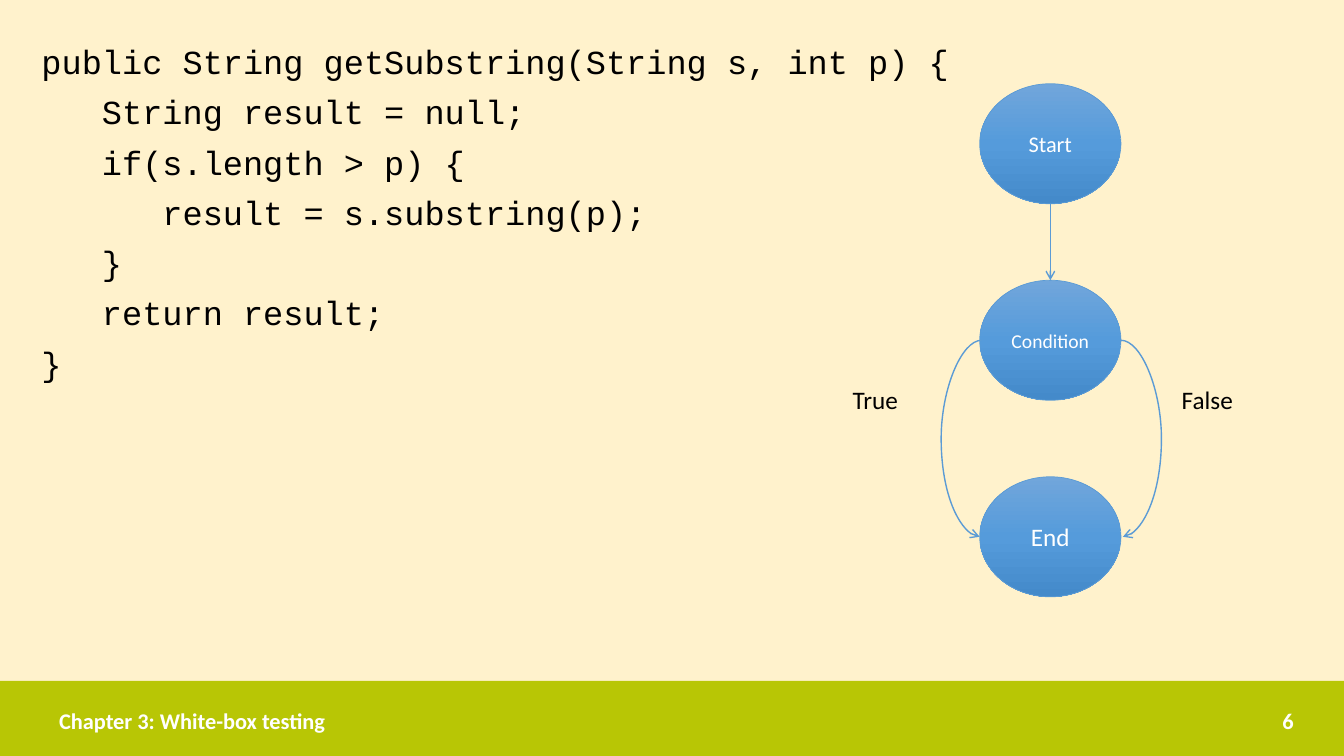
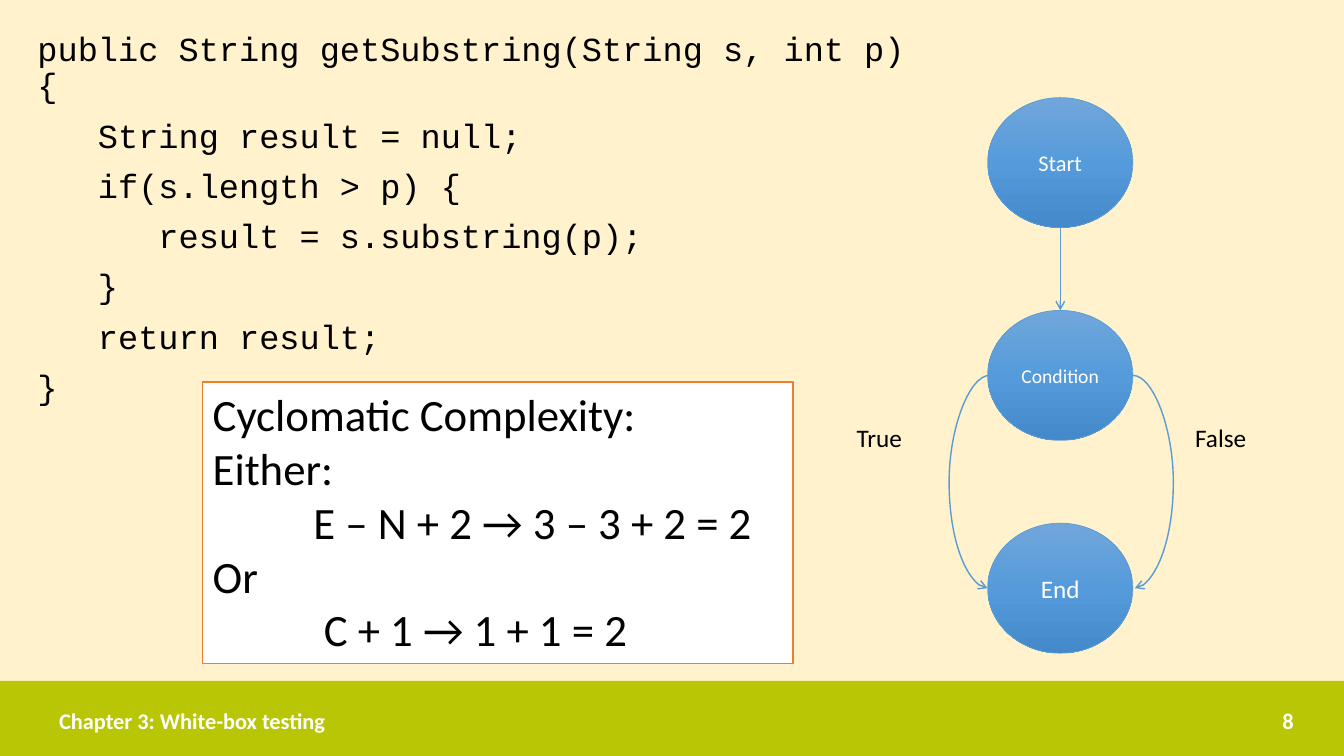
from copy import deepcopy

from lxml.etree import SubElement
from pptx import Presentation
from pptx.dml.color import RGBColor
from pptx.enum.shapes import MSO_CONNECTOR, MSO_SHAPE
from pptx.enum.text import MSO_ANCHOR, MSO_AUTO_SIZE, PP_ALIGN
from pptx.oxml.ns import qn
from pptx.util import Cm, Pt

COLORS = {
    "background": "FFF2CC",
    "band": "B8C605",
    "text": "000000",
    "white": "FFFFFF",
    "line": "5B9BD5",
    "frame": "ED7D31",
}
NODE_GRADIENT = [(0, "71A6DB"), (0.5, "559BDB"), (1, "448ACA")]
NODES = [("Start", 16), ("Condition", 14), ("End", 18)]
BODY_FONT, CODE_FONT = "Calibri", "Courier New"
FOOTER = "Chapter 3: White-box testing"
CODE = [
    "public String getSubstring(String s, int p) {",
    "   String result = null;",
    "   if(s.length > p) {",
    "      result = s.substring(p);",
    "   }",
    "   return result;",
    "}",
]
COMPLEXITY = [
    ("Cyclomatic Complexity:", 0),
    ("Either:", 0),
    ("E – N + 2 → 3 – 3 + 2 = 2", 2.54),
    ("Or", 0),
    ("C + 1 → 1 + 1 = 2", 2.8),
]


def color(name):
    return RGBColor.from_string(COLORS[name])


def write(paragraph, text, size, color_name="text", font=BODY_FONT, bold=False):
    paragraph.text = text
    for run in paragraph.runs:
        run.font.name = font
        run.font.size = Pt(size)
        run.font.bold = bold
        run.font.color.rgb = color(color_name)


def write_lines(text_frame, lines, size, font=BODY_FONT):
    """Write one paragraph per line and return the paragraphs."""
    paragraphs = [text_frame.paragraphs[0]]
    paragraphs += [text_frame.add_paragraph() for _ in lines[1:]]
    for paragraph, line in zip(paragraphs, lines):
        write(paragraph, line, size, font=font)
    return paragraphs


def add_panel(slide, box, fill_name, line_name=None):
    panel = slide.shapes.add_shape(MSO_SHAPE.RECTANGLE, *map(Cm, box))
    panel.shadow.inherit = False
    panel.fill.solid()
    panel.fill.fore_color.rgb = color(fill_name)
    if line_name:
        panel.line.color.rgb = color(line_name)
        panel.line.width = Pt(1)
    else:
        panel.line.fill.background()
    return panel


def add_footer(slide, number):
    add_panel(slide, (0, 17.16, 33.87, 1.89), "band")
    for left, width, text, alignment in (
        (1.24, 15.72, FOOTER, PP_ALIGN.LEFT),
        (23.93, 8.92, str(number), PP_ALIGN.RIGHT),
    ):
        text_box = slide.shapes.add_textbox(Cm(left), Cm(17.65), Cm(width), Cm(1.02))
        text_frame = text_box.text_frame
        text_frame.word_wrap = True
        text_frame.vertical_anchor = MSO_ANCHOR.MIDDLE
        write(text_frame.paragraphs[0], text, 16, "white", bold=True)
        text_frame.paragraphs[0].alignment = alignment


def add_code(slide, box):
    body = slide.placeholders[1]
    body.left, body.top, body.width, body.height = map(Cm, box)
    body.text_frame.auto_size = MSO_AUTO_SIZE.NONE
    paragraphs = write_lines(body.text_frame, CODE, 24, CODE_FONT)
    for index, paragraph in enumerate(paragraphs):
        properties = paragraph._p.get_or_add_pPr()
        properties.set("marL", "0")
        properties.set("indent", "0")
        SubElement(properties, qn("a:buNone"))
        paragraph.line_spacing = 0.9
        paragraph.space_before = Pt(10 if index else 0)


def add_node(shapes, box, label, size):
    node = shapes.add_shape(MSO_SHAPE.OVAL, *box)
    node.shadow.inherit = False
    node.fill.gradient()
    node.fill.gradient_angle = 270
    stop_list = node.element.spPr.find(".//" + qn("a:gsLst"))
    stop_list.append(deepcopy(stop_list[0]))
    for stop, (position, value) in zip(node.fill.gradient_stops, NODE_GRADIENT):
        stop.position = position
        stop.color.rgb = RGBColor.from_string(value)
    node.line.color.rgb = color("line")
    node.line.width = Pt(0.5)
    text_frame = node.text_frame
    text_frame.margin_left = text_frame.margin_right = 0
    text_frame.vertical_anchor = MSO_ANCHOR.MIDDLE
    write(text_frame.paragraphs[0], label, size, "white")
    text_frame.paragraphs[0].alignment = PP_ALIGN.CENTER


def add_arrow(shapes, start, end, bulge=0):
    """Draw a straight arrow, or one curving sideways by bulge."""
    kind = MSO_CONNECTOR.CURVE if bulge else MSO_CONNECTOR.STRAIGHT
    arrow = shapes.add_connector(kind, *start, *end)
    arrow.line.color.rgb = color("line")
    arrow.line.width = Pt(1)
    properties = arrow.element.spPr
    SubElement(properties.find(qn("a:ln")), qn("a:tailEnd"), type="arrow")
    SubElement(properties, qn("a:effectLst"))
    if bulge:
        adjustment = round(100000 * bulge / abs(end[0] - start[0]))
        guides = properties.find(qn("a:prstGeom")).get_or_add_avLst()
        SubElement(guides, qn("a:gd"), name="adj1", fmla=f"val {adjustment}")


def add_flow_graph(slide, box):
    """Stack the nodes in the box, with the branches and labels beside it."""
    left, top, width, height = map(Cm, box)
    shapes = slide.shapes.add_group_shape().shapes
    node_height = round(height * 0.234)
    pitch = (height - node_height) // 2
    for index, (label, size) in enumerate(NODES):
        node_box = (left, top + index * pitch, width, node_height)
        add_node(shapes, node_box, label, size)

    center, right = left + width // 2, left + width
    add_arrow(shapes, (center, top + node_height), (center, top + pitch))
    gap, bulge = Cm(0.05), Cm(1.02)
    condition_middle = top + pitch + node_height // 2
    end_middle = condition_middle + pitch
    for start_x in (left + gap, right):
        end_x = left if start_x < center else right + gap
        add_arrow(shapes, (start_x, condition_middle), (end_x, end_middle), bulge)

    for label, offset in (("True", -0.97), ("False", 1.36)):
        text_box = shapes.add_textbox(
            left + round(offset * width), top + round(0.576 * height), Cm(2.8), Cm(1.4)
        )
        text_box.text_frame.word_wrap = False
        write(text_box.text_frame.paragraphs[0], label, 18)


def add_complexity(slide, box):
    panel = add_panel(slide, box, "white", "frame")
    panel.text_frame.vertical_anchor = MSO_ANCHOR.TOP
    lines = [text for text, _ in COMPLEXITY]
    paragraphs = write_lines(panel.text_frame, lines, 32)
    for paragraph, (_, indent) in zip(paragraphs, COMPLEXITY):
        paragraph.alignment = PP_ALIGN.LEFT
        paragraph._p.get_or_add_pPr().set("marL", str(Cm(indent)))


def add_code_slide(presentation, number, code_box, graph_box):
    slide = presentation.slides.add_slide(presentation.slide_layouts[1])
    title = slide.shapes.title.element
    title.getparent().remove(title)
    add_footer(slide, number)
    add_code(slide, code_box)
    add_flow_graph(slide, graph_box)
    return slide


def main():
    presentation = Presentation()
    presentation.slide_width, presentation.slide_height = Cm(33.87), Cm(19.05)
    background = presentation.slide_master.background.fill
    background.solid()
    background.fore_color.rgb = color("background")

    add_code_slide(
        presentation, 6, (0.79, 1.02, 25.3, 14.17), (24.69, 2.11, 3.56, 12.93)
    )
    slide = add_code_slide(
        presentation, 8, (0.69, 0.69, 22.86, 14.17), (24.89, 2.46, 3.66, 14)
    )
    add_complexity(slide, (5.11, 9.63, 14.88, 7.09))
    presentation.save("out.pptx")


if __name__ == "__main__":
    main()
